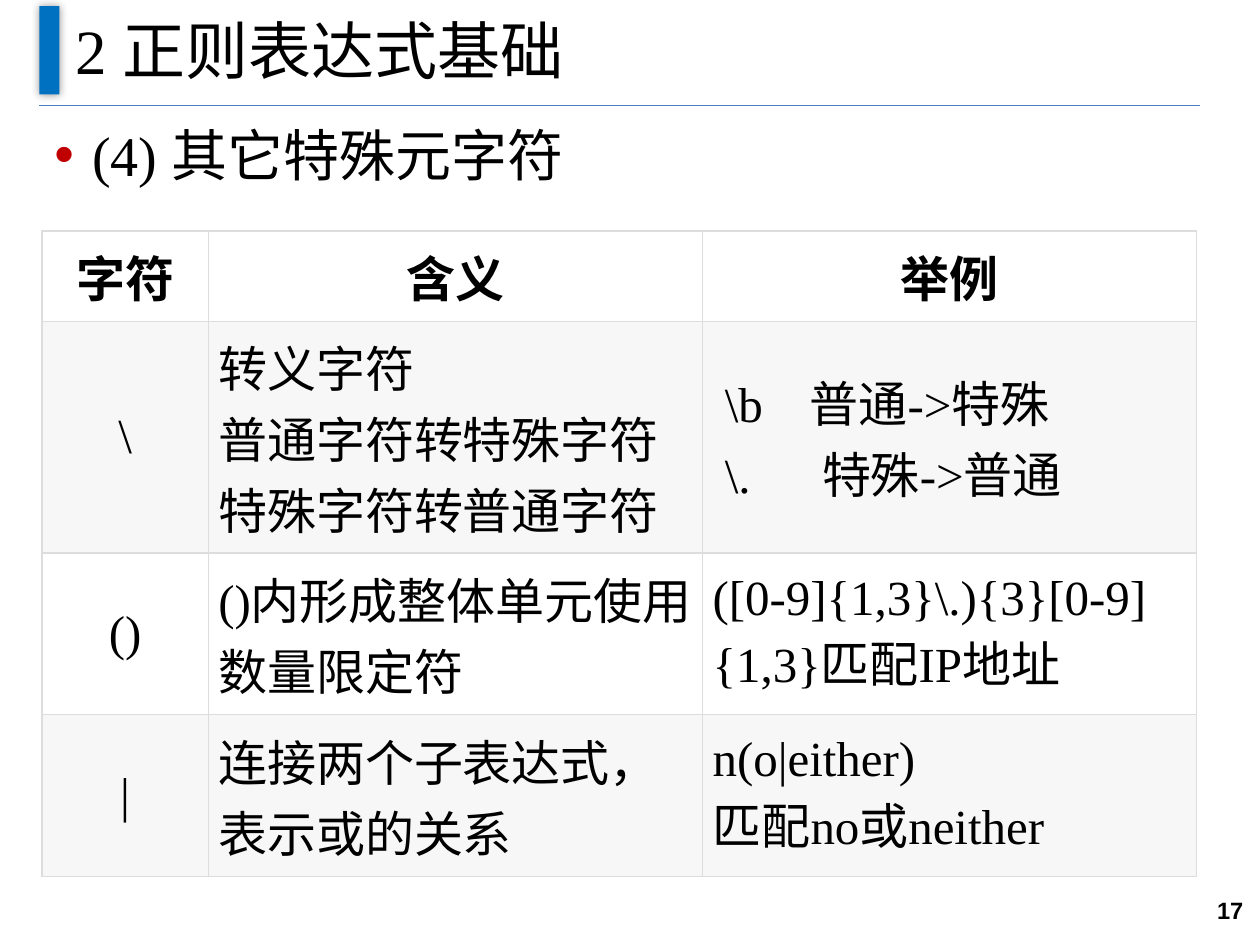
from lxml import etree
from pptx import Presentation
from pptx.dml.color import RGBColor
from pptx.enum import shapes, text
from pptx.oxml import ns
from pptx.util import Pt

TITLE = "2 正则表达式基础"
SUBTITLE = "(4) 其它特殊元字符"
PAGE_NUMBER = "17"
HEADER = ("字符", "含义", "举例")
ROWS = [
    ("\\", "转义字符\n普通字符转特殊字符\n特殊字符转普通字符", " \\b\t普通->特殊\n \\.\t特殊->普通"),
    ("()", "()内形成整体单元使用数量限定符", "([0-9]{1,3}\\.){3}[0-9]{1,3}匹配IP地址"),
    ("|", "连接两个子表达式，表示或的关系", "n(o|either)\n匹配no或neither"),
]
COLUMN_WIDTHS = (95, 282.5, 282.5)
ROW_HEIGHTS = (51.5, 132.5, 92.5, 92.5)
CELL_INSET = 5.76
EXAMPLE_TABS = (55.5, 62.5)

THEME = {
    "ink": "000000", "accent": "0070C0", "rule": "4B7EBC", "bullet": "C00000",
    "border": "DDDDDD", "bands": ("FFFFFF", "F7F7F7"),
    "serif": "Times New Roman", "sans": "Arial",
    "title": 36, "subtitle": 32, "table": 28, "number": 13.5,
}
ALIGN = text.PP_ALIGN
MIDDLE = text.MSO_ANCHOR.MIDDLE


def color(name):
    return RGBColor.from_string(name)


def add_xml(parent, tag, **attributes):
    return etree.SubElement(parent, ns.qn(tag), attributes)


def write(frame, content, size, font="serif", bold=False, align=ALIGN.LEFT):
    for index, line in enumerate(content.split("\n")):
        para = frame.paragraphs[0] if index == 0 else frame.add_paragraph()
        para.alignment = align
        span = para.add_run()
        span.text = line
        look = {"name": THEME[font], "size": Pt(THEME[size]), "bold": bold}
        for key, value in look.items():
            setattr(span.font, key, value)
        span.font.color.rgb = color(THEME["ink"])


def add_text(page, place, content, size, anchor=MIDDLE, **style):
    box = page.shapes.add_textbox(*map(Pt, place))
    frame = box.text_frame
    frame.word_wrap = True
    frame.vertical_anchor = anchor
    write(frame, content, size, **style)
    return frame.paragraphs[0]


def add_bullet(para):
    para.space_before = para.space_after = Pt(4.5)
    properties = para._p.get_or_add_pPr()
    properties.set("marL", str(Pt(21.6)))
    properties.set("indent", str(-Pt(21.6)))
    tint = add_xml(properties, "a:buClr")
    add_xml(tint, "a:srgbClr", val=THEME["bullet"])
    add_xml(properties, "a:buFont", typeface=THEME["sans"])
    add_xml(properties, "a:buChar", char="•")


def add_header_marks(page):
    rule = page.shapes.add_connector(
        shapes.MSO_CONNECTOR.STRAIGHT, Pt(22.5), Pt(60.2), Pt(686), Pt(60.2))
    rule.line.color.rgb = color(THEME["rule"])
    rule.line.width = Pt(0.75)
    add_xml(rule._element.spPr, "a:effectLst")

    bar = page.shapes.add_shape(
        shapes.MSO_SHAPE.RECTANGLE, Pt(22.5), Pt(3.5), Pt(11.5), Pt(50.5))
    bar.fill.solid()
    bar.fill.fore_color.rgb = color(THEME["accent"])
    bar.line.fill.background()
    bar.shadow.inherit = False
    effects = bar._element.spPr.find(ns.qn("a:effectLst"))
    shadow = add_xml(effects, "a:outerShdw", blurRad=str(Pt(5)), dist="0", dir="0")
    tint = add_xml(shadow, "a:srgbClr", val="000000")
    add_xml(tint, "a:alpha", val="40000")


def add_borders(cell):
    properties = cell._tc.get_or_add_tcPr()
    for side in ("lnL", "lnR", "lnT", "lnB"):
        edge = add_xml(properties, f"a:{side}", w=str(Pt(0.75)))
        add_xml(add_xml(edge, "a:solidFill"), "a:srgbClr", val=THEME["border"])


def add_tab_stop(para, position):
    stops = add_xml(para._p.get_or_add_pPr(), "a:tabLst")
    add_xml(stops, "a:tab", pos=str(Pt(position)), algn="l")


def fill_cell(cell, content, row, column):
    add_borders(cell)
    cell.fill.solid()
    cell.fill.fore_color.rgb = color(THEME["bands"][row % 2])
    cell.vertical_anchor = MIDDLE
    for side in ("left", "right", "top", "bottom"):
        setattr(cell, f"margin_{side}", Pt(CELL_INSET))
    centred = row == 0 or column == 0
    write(cell.text_frame, content, "table", bold=row == 0,
          align=ALIGN.CENTER if centred else ALIGN.LEFT)
    if "\t" in content:
        for para, position in zip(cell.text_frame.paragraphs, EXAMPLE_TABS):
            add_tab_stop(para, position)


def add_character_table(page):
    records = [HEADER, *ROWS]
    table = page.shapes.add_table(
        len(records), len(HEADER), Pt(24), Pt(132),
        Pt(sum(COLUMN_WIDTHS)), Pt(sum(ROW_HEIGHTS))).table
    table.first_row = table.horz_banding = False
    for column, width in zip(table.columns, COLUMN_WIDTHS):
        column.width = Pt(width)
    for row, height in zip(table.rows, ROW_HEIGHTS):
        row.height = Pt(height)
    for row, record in enumerate(records):
        for column, content in enumerate(record):
            fill_cell(table.cell(row, column), content, row, column)


def main():
    deck = Presentation()
    deck.slide_width, deck.slide_height = Pt(720), Pt(540)
    page = deck.slides.add_slide(deck.slide_layouts[6])
    add_header_marks(page)
    add_text(page, (36, -2, 648, 60.5), TITLE, "title")
    add_text(page, (650.5, 500.5, 67, 39.5), PAGE_NUMBER, "number",
             font="sans", bold=True, align=ALIGN.RIGHT)
    add_bullet(add_text(page, (24, 65.5, 661, 456.5), SUBTITLE, "subtitle",
                        anchor=text.MSO_ANCHOR.TOP, align=ALIGN.JUSTIFY))
    add_character_table(page)
    deck.save("out.pptx")


if __name__ == "__main__":
    main()
